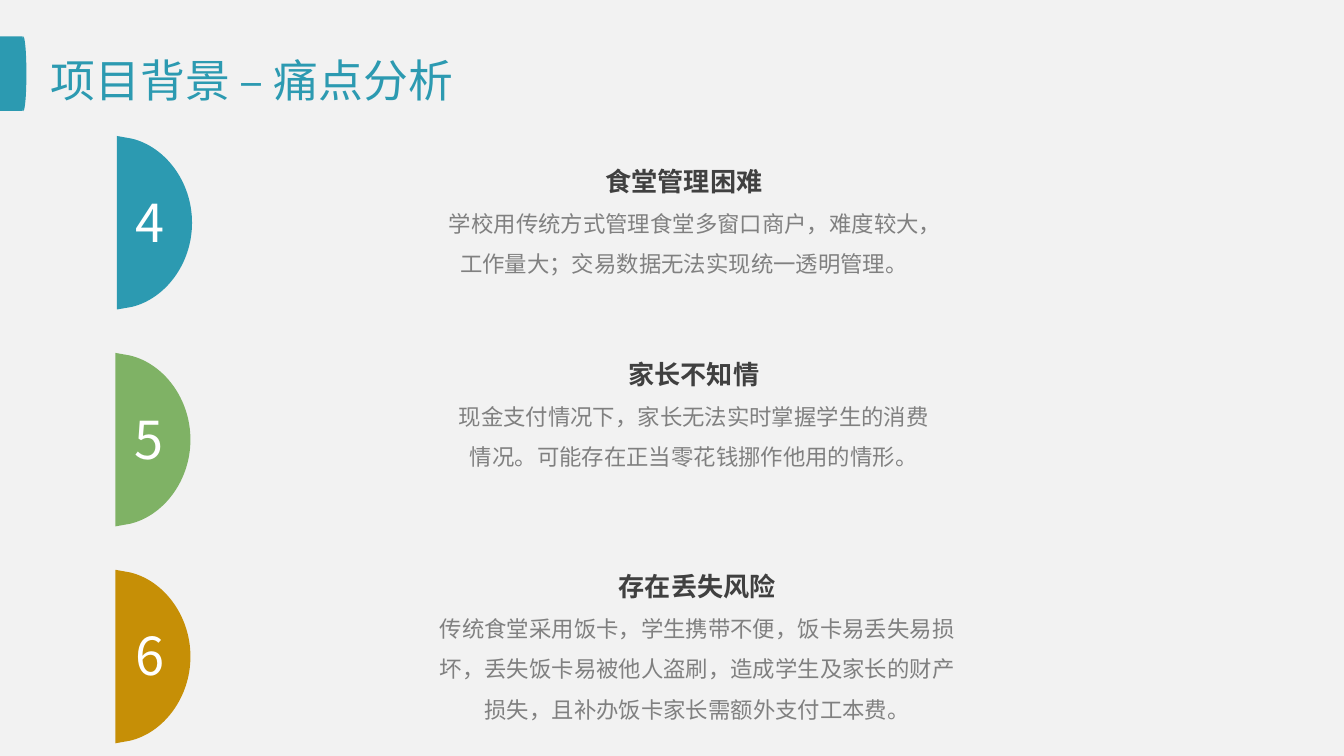
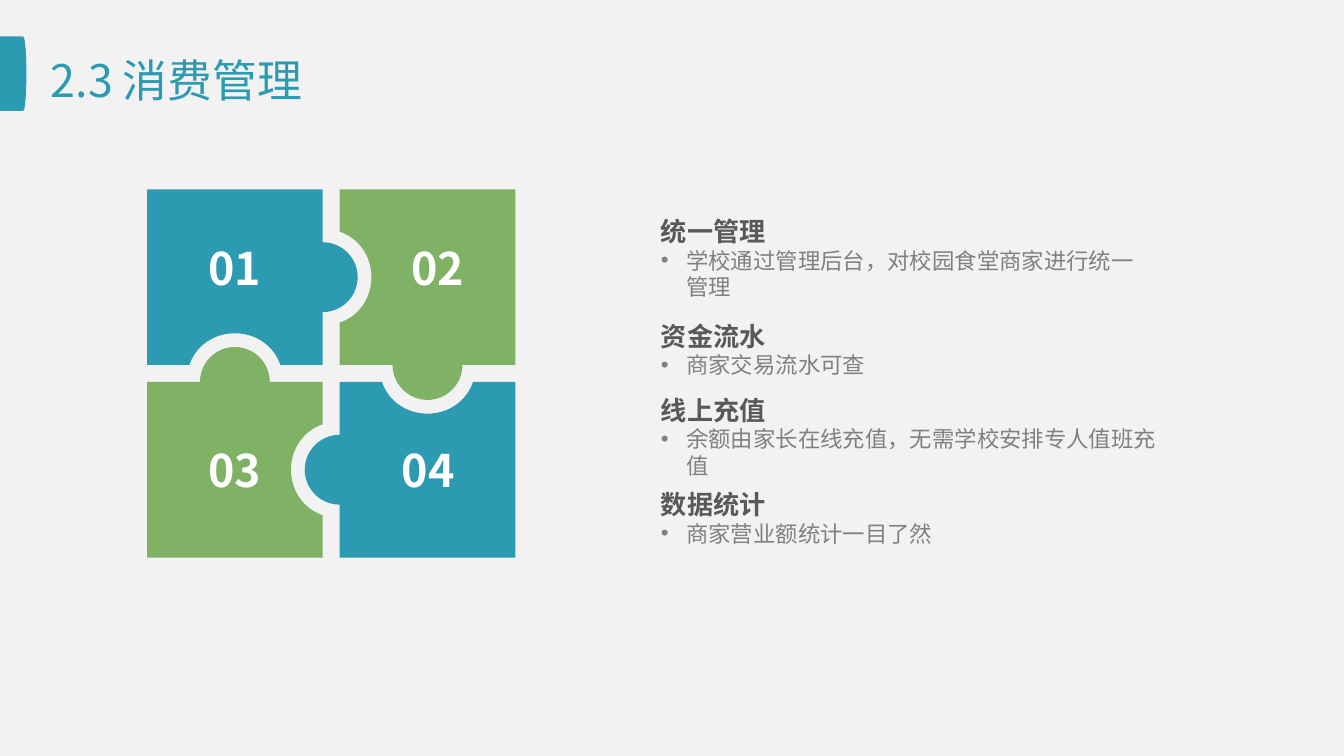
"""Build two slides: canteen pain points and consumption management."""
from lxml import etree
from pptx import Presentation
from pptx.dml.color import RGBColor
from pptx.enum.shapes import MSO_SHAPE
from pptx.enum.text import MSO_ANCHOR, PP_ALIGN
from pptx.oxml.ns import qn
from pptx.util import Cm, Pt

RECT, OVAL = MSO_SHAPE.RECTANGLE, MSO_SHAPE.OVAL
TOP, MIDDLE = MSO_ANCHOR.TOP, MSO_ANCHOR.MIDDLE
LEFT, CENTER = PP_ALIGN.LEFT, PP_ALIGN.CENTER
FONT = "Noto Sans CJK SC"
TEAL, GREEN, GOLD = "2C9AB1", "7FB265", "C68F06"
WHITE, PAPER = "FFFFFF", "F2F2F2"
DARK, SLATE, GREY = "404040", "595959", "808080"


def paint(sp, color):
    """Give a shape a flat fill without line or shadow."""
    sp.fill.solid()
    sp.fill.fore_color.rgb = RGBColor.from_string(color)
    sp.line.fill.background()
    sp.shadow.inherit = False


def add_text(slide, box, paragraphs, align=LEFT, anchor=MIDDLE, inset=(0.25, 0.13),
             spacing=None, bullet=False):
    """Add a text box of (text, size, color, bold) paragraphs; options style the body."""
    tf = slide.shapes.add_textbox(*map(Cm, box)).text_frame
    tf.word_wrap = True
    tf.vertical_anchor = anchor
    tf.margin_left = tf.margin_right = Cm(inset[0])
    tf.margin_top = tf.margin_bottom = Cm(inset[1])
    for i, (text, size, color, bold) in enumerate(paragraphs):
        p = tf.add_paragraph() if i else tf.paragraphs[0]
        p.alignment = align
        if i and spacing:
            p.line_spacing = spacing
        if i and bullet:
            pPr = p._p.get_or_add_pPr()
            pPr.set("marL", str(Cm(0.48)))
            pPr.set("indent", str(-Cm(0.48)))
            etree.SubElement(pPr, qn("a:buFont"), typeface="Arial")
            etree.SubElement(pPr, qn("a:buChar"), char="•")
        r = p.add_run()
        r.text = text
        r.font.size = Pt(size)
        r.font.bold = bold
        r.font.name = FONT
        r.font.color.rgb = RGBColor.from_string(color)
        etree.SubElement(r._r.get_or_add_rPr(), qn("a:ea"), typeface=FONT)


prs = Presentation()
prs.slide_width, prs.slide_height = Cm(25.4), Cm(14.29)
background = prs.slide_master.background.fill
background.solid()
background.fore_color.rgb = RGBColor.from_string(PAPER)
blank = prs.slide_layouts[6]
pain_slide, consumption_slide = [prs.slides.add_slide(blank) for _ in range(2)]

for i, (preset, left, width) in enumerate(((RECT, 0, 0.43), (OVAL, 0.38, 0.12))):
    sp = pain_slide.shapes.add_shape(preset, Cm(left), Cm(0.69), Cm(width), Cm(1.41))
    paint(sp, TEAL)
    sp.element.nvSpPr.cNvPr.set("id", str(20 + i))
    blank.shapes.element.append(sp.element)

for slide, title in ((pain_slide, "项目背景 – 痛点分析"), (consumption_slide, "2.3 消费管理")):
    add_text(slide, (0.71, 0.74, 22.86, 1.52), [(title, 24, TEAL, False)])

outlines = []
half_pitch, half_depth = 4.1, 1.42
half = [(1.64, 0), (-1.64, 0), (-1.59, 0.28), (-1.44, 0.91), (-0.78, half_depth),
        (0, half_depth), (0.78, half_depth), (1.44, 0.91), (1.59, 0.28)]
for i, (left, color) in enumerate(((2.21, TEAL), (2.18, GREEN), (2.18, GOLD))):
    x0, y0 = left + half_depth / 2, 4.21 + i * half_pitch - half_depth / 2
    points = [(x0 + x, y0 + y) for x, y in half]
    outlines.append((pain_slide, points, (3, 6), 270, color))

center_x, center_y = 6.26, 7.06
inner, outer, tab_r = -0.16, -3.48, 0.66
mid = (inner + outer) / 2
tab = [(0, -1), (0.55, -1), (1, -0.55), (1, 0), (1, 0.55), (0.55, 1), (0, 1)]
socket = [(0.86, inner), (0.74, -0.52), (0.4, -0.76), (0, -0.76),
          (-0.4, -0.76), (-0.74, -0.52), (-0.86, inner)]
piece = [(outer, outer), (inner, outer)]
piece += [(inner + tab_r * x, mid + tab_r * y) for x, y in tab]
piece.append((inner, inner))
piece += [(mid + x, y) for x, y in socket]
piece.append((outer, inner))
for color in (TEAL, GREEN, TEAL, GREEN):
    points = [(center_x + x, center_y + y) for x, y in piece]
    outlines.append((consumption_slide, points, (3, 6, 11, 14), 0, color))
    piece = [(-y, x) for x, y in piece]

for slide, points, curve_starts, rotation, color in outlines:
    points = [(Cm(x), Cm(y)) for x, y in points]
    builder = slide.shapes.build_freeform(*points[0])
    builder.add_line_segments(points[1:], close=True)
    sp = builder.convert_to_shape()
    paint(sp, color)
    sp.rotation = rotation
    steps = list(sp.element.iter(qn("a:path")))[0]
    segments = list(steps)
    for start in curve_starts:
        curve = etree.Element(qn("a:cubicBezTo"))
        segments[start].addprevious(curve)
        for segment in segments[start:start + 3]:
            curve.append(segment[0])
            steps.remove(segment)

pains = [
    ("4", 2.32, (8.03, 2.26, 9.8, 3.84), "食堂管理困难",
     "学校用传统方式管理食堂多窗口商户，难度较大，工作量大；交易数据无法实现统一透明管理。"),
    ("5", 2.29, (8.25, 6.67, 9.73, 2.31), "家长不知情",
     "现金支付情况下，家长无法实时掌握学生的消费情况。可能存在正当零花钱挪作他用的情形。"),
    ("6", 2.32, (8.05, 9.53, 10.26, 5.38), "存在丢失风险",
     "传统食堂采用饭卡，学生携带不便，饭卡易丢失易损坏，丢失饭卡易被他人盗刷，"
     "造成学生及家长的财产损失，且补办饭卡家长需额外支付工本费。"),
]
for i, (number, left, box, heading, body) in enumerate(pains):
    add_text(pain_slide, box, [(heading, 14, DARK, True), (body, 12, GREY, False)],
             align=CENTER, spacing=1.5)
    add_text(pain_slide, (left, 3.47 + i * 4.09, 1.2, 1.45),
             [(number, 28, WHITE, False)], anchor=TOP)

for number, left, top in (("01", 3.45, 4.36), ("02", 7.28, 4.36),
                          ("03", 3.45, 8.18), ("04", 7.1, 8.18)):
    add_text(consumption_slide, (left, top, 1.98, 1.4), [(number, 24, WHITE, True)],
             align=CENTER)

features = [
    (3.96, 9.53, 1.83, "统一管理", "学校通过管理后台，对校园食堂商家进行统一管理"),
    (5.95, 10.03, 1.3, "资金流水", "商家交易流水可查"),
    (7.34, 10.03, 1.83, "线上充值", "余额由家长在线充值，无需学校安排专人值班充值"),
    (9.13, 10.03, 1.3, "数据统计", "商家营业额统计一目了然"),
]
for top, width, height, heading, body in features:
    add_text(consumption_slide, (12.31, top, width, height),
             [(heading, 14, SLATE, True), (body, 12, GREY, False)],
             inset=(0.18, 0.1), bullet=True)

prs.save("out.pptx")
